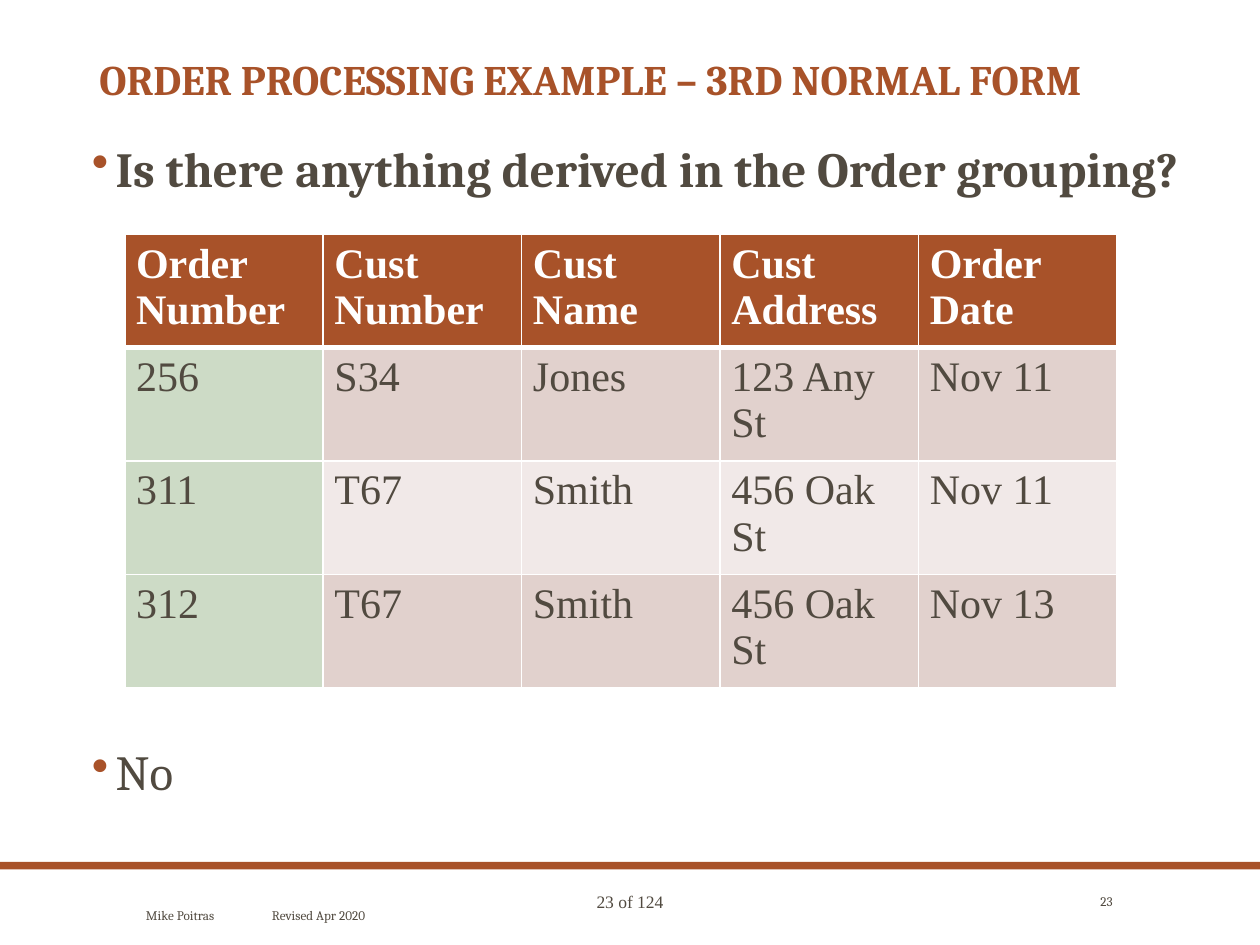
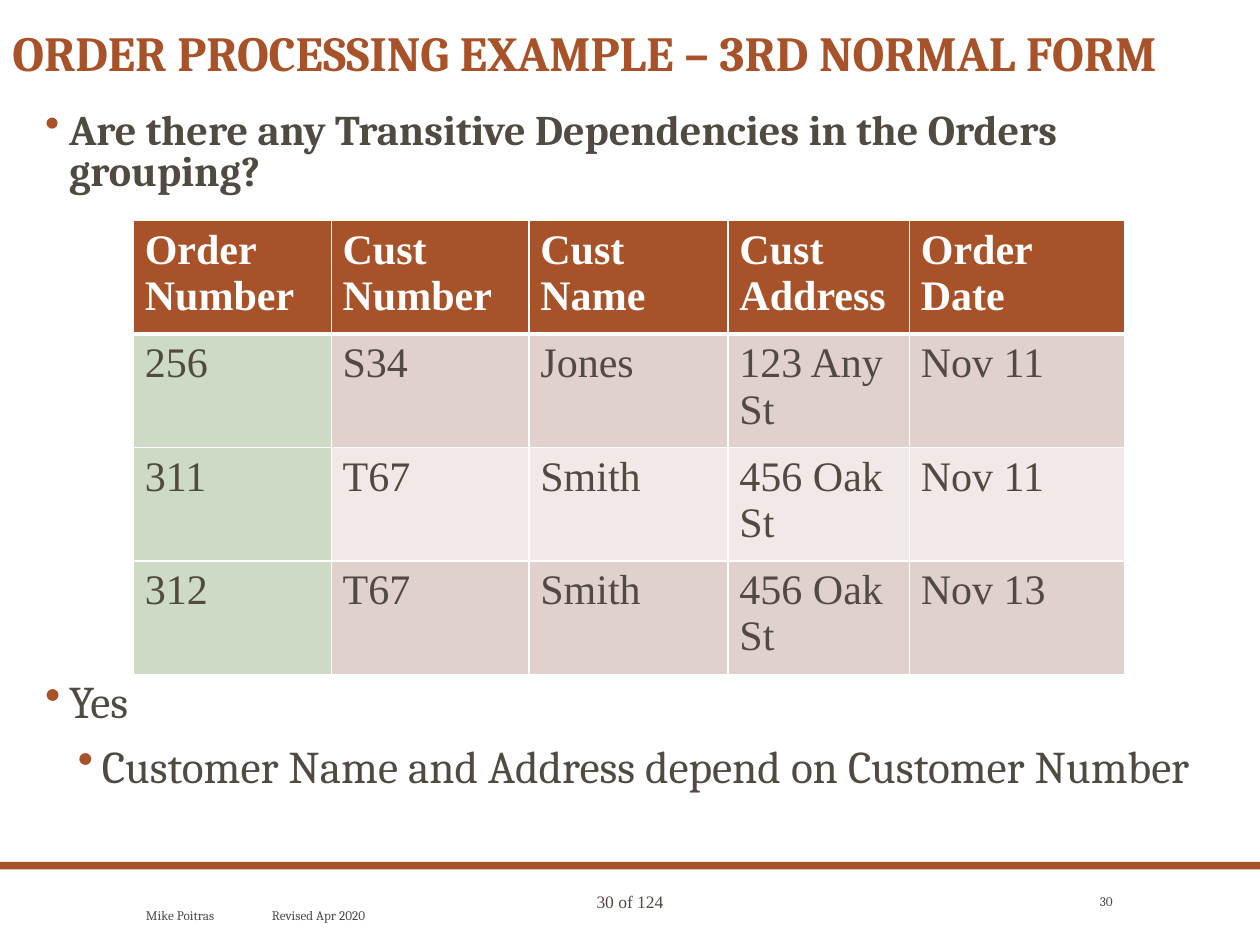
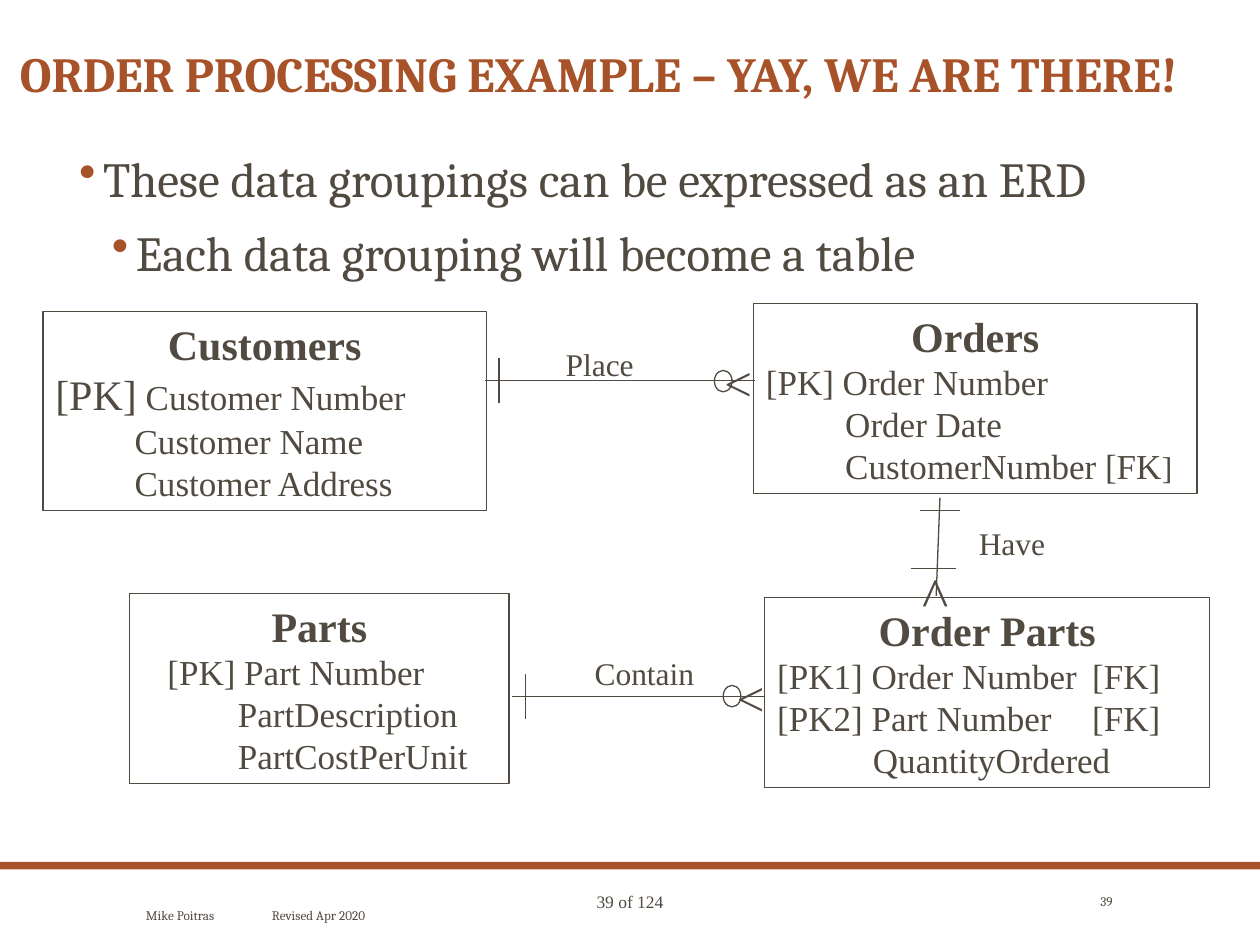
from dataclasses import dataclass

from lxml.etree import SubElement
from pptx import Presentation
from pptx.dml.color import RGBColor
from pptx.enum.shapes import MSO_CONNECTOR, MSO_SHAPE
from pptx.enum.text import MSO_ANCHOR, PP_ALIGN
from pptx.oxml.ns import qn
from pptx.util import Inches, Pt


@dataclass(frozen=True)
class Theme:
    rust: str = "A85229"
    ink: str = "514A40"
    white: str = "FFFFFF"
    green: str = "CDDBC6"
    dark: str = "E1D1CD"
    light: str = "F1E9E8"
    serif: str = "Cambria"
    roman: str = "Times New Roman"
    big: float = 28
    head: float = 24
    item: float = 20
    label: float = 18
    page: float = 10
    foot: float = 7.5
    hair: float = 0.75


THEME = Theme()


@dataclass(frozen=True)
class Box:
    left: float
    top: float
    width: float
    height: float

    def emus(self) -> tuple:
        return tuple(map(Inches, (self.left, self.top, self.width, self.height)))


@dataclass(frozen=True)
class Run:
    text: str
    size: float
    bold: bool = False
    font: str = THEME.roman
    color: str = THEME.ink


@dataclass(frozen=True)
class Para:
    runs: tuple[Run, ...]
    align: PP_ALIGN = PP_ALIGN.LEFT
    line: float | None = None
    after: float = 0
    left: float = 0
    hang: float = 0
    tab: float = 0
    dot: bool = False


@dataclass(frozen=True)
class Entry:
    box: Box
    name: str
    rows: tuple[Para, ...]


@dataclass(frozen=True)
class Grid:
    left: float
    top: float
    cols: tuple[float, ...]
    rows: tuple[float, ...]


def put(target, values: dict) -> None:
    for name, value in values.items():
        setattr(target, name, value)


def rgb(code: str) -> RGBColor:
    return RGBColor.from_string(code)


def tint(parent, code: str) -> None:
    SubElement(parent, qn("a:srgbClr"), val=code)


def write(frame, paras: list[Para]) -> None:
    for index, spec in enumerate(paras):
        para = frame.add_paragraph() if index else frame.paragraphs[0]
        put(para, {"alignment": spec.align, "line_spacing": spec.line,
                   "space_after": Pt(spec.after)})
        props = para._p.get_or_add_pPr()
        props.set("marL", str(Inches(spec.left)))
        props.set("indent", str(Inches(spec.hang)))
        if spec.dot:
            tint(SubElement(props, qn("a:buClr")), THEME.rust)
            SubElement(props, qn("a:buChar"), char="•")
        if spec.tab:
            tabs = SubElement(props, qn("a:tabLst"))
            SubElement(tabs, qn("a:tab"), pos=str(Inches(spec.tab)), algn="l")
        for part in spec.runs:
            run = para.add_run()
            run.text = part.text
            put(run.font, {"name": part.font, "size": Pt(part.size), "bold": part.bold})
            run.font.color.rgb = rgb(part.color)


def add_text(slide, box: Box, paras: list[Para], anchor=MSO_ANCHOR.TOP) -> None:
    frame = slide.shapes.add_textbox(*box.emus()).text_frame
    put(frame, {"word_wrap": True, "vertical_anchor": anchor})
    write(frame, paras)


def add_form(slide, kind: MSO_SHAPE, box: Box, fill: str = "", line: str = ""):
    shape = slide.shapes.add_shape(kind, *box.emus())
    shape.shadow.inherit = False
    for part, code in ((shape.fill, fill), (shape.line.fill, line)):
        if code:
            part.solid()
            part.fore_color.rgb = rgb(code)
        else:
            part.background()
    if line:
        shape.line.width = Pt(THEME.hair)
    return shape


def add_line(slide, ends: tuple[float, ...]) -> None:
    line = slide.shapes.add_connector(MSO_CONNECTOR.STRAIGHT, *map(Inches, ends))
    line.line.color.rgb = rgb(THEME.ink)
    line.line.width = Pt(THEME.hair)
    SubElement(line._element.spPr, qn("a:effectLst"))


def bullet(text: str, size: float = THEME.big, bold: bool = False,
           line: float = 0.9, level: int = 0) -> Para:
    return Para((Run(text, size, bold, THEME.serif),), line=line,
                after=6 if level else 12, left=0.49 if level else 0.23,
                hang=-0.19, dot=True)


def add_page(deck, number: int, title: str, box: Box, size: float = THEME.big):
    slide = deck.slides.add_slide(deck.slide_layouts[6])
    add_form(slide, MSO_SHAPE.RECTANGLE, Box(0, 6.84, 10, 0.06), THEME.rust)
    add_text(slide, Box(3.52, 7.02, 2.96, 0.27),
             [Para((Run(f"{number} of 124", THEME.page),), PP_ALIGN.CENTER)])
    add_text(slide, box,
             [Para((Run(title, size, True, THEME.serif, THEME.rust),), line=0.9)])
    notes = (
        (Box(1.06, 7.02, 7.88, 0.48), "Mike Poitras\tRevised Apr 2020", PP_ALIGN.LEFT, 1.37),
        (Box(8.36, 7.02, 0.57, 0.26), str(number), PP_ALIGN.RIGHT, 0),
    )
    for place, text, align, tab in notes:
        add_text(slide, place,
                 [Para((Run(text, THEME.foot, font=THEME.serif),), align, tab=tab)],
                 MSO_ANCHOR.MIDDLE)
    return slide


ORDERS = (
    ("Order\nNumber", "Cust Number", "Cust Name", "Cust\nAddress", "Order Date"),
    ("256", "S34", "Jones", "123 Any St", "Nov 11"),
    ("311", "T67", "Smith", "456 Oak St", "Nov 11"),
    ("312", "T67", "Smith", "456 Oak St", "Nov 13"),
)


def shade(row: int, col: int) -> str:
    if row == 0:
        return THEME.rust
    if col == 0:
        return THEME.green
    return THEME.dark if row % 2 else THEME.light


def add_rule(cell, side: str, width: float) -> None:
    rule = SubElement(cell._tc.get_or_add_tcPr(), qn(f"a:{side}"), w=str(Pt(width)))
    tint(SubElement(rule, qn("a:solidFill")), THEME.white)


def add_orders(slide, grid: Grid) -> None:
    box = Box(grid.left, grid.top, sum(grid.cols), sum(grid.rows))
    table = slide.shapes.add_table(len(ORDERS), len(ORDERS[0]), *box.emus()).table
    table.horz_banding = False
    for col, width in zip(table.columns, grid.cols):
        col.width = Inches(width)
    for row, height in zip(table.rows, grid.rows):
        row.height = Inches(height)
    for r, texts in enumerate(ORDERS):
        for c, text in enumerate(texts):
            cell = table.cell(r, c)
            put(cell, {"margin_left": Inches(0.09), "margin_right": Inches(0.09),
                       "margin_top": Inches(0.05), "margin_bottom": Inches(0.05)})
            for side in ("lnL", "lnR", "lnT", "lnB"):
                add_rule(cell, side, 3 if (r, side) in ((0, "lnB"), (1, "lnT")) else 1)
            cell.fill.solid()
            cell.fill.fore_color.rgb = rgb(shade(r, c))
            color = THEME.ink if r else THEME.white
            write(cell.text_frame, [Para((Run(part, THEME.head, r == 0, color=color),))
                                    for part in text.split("\n")])


def field(text: str, left: float = 0, tab: float = 0) -> Para:
    return Para((Run(text, THEME.item),), left=left, tab=tab)


ENTRIES = (
    Entry(Box(5.98, 2.41, 3.52, 1.51), "Orders", (
        field("[PK] Order Number"),
        field("Order Date", 0.63),
        Para((Run("CustomerNumber [FK", THEME.item), Run("]", THEME.label)), left=0.63),
    )),
    Entry(Box(1.03, 4.71, 3.01, 1.51), "Parts", (
        field("[PK] Part Number", 0.2),
        field("PartDescription", 0.76),
        field("PartCostPerUnit", 0.76),
    )),
    Entry(Box(0.34, 2.47, 3.52, 1.58), "Customers", (
        Para((Run("[PK]", THEME.head), Run(" Customer Number", THEME.item))),
        field("Customer Name", 0.63),
        field("Customer Address", 0.63),
    )),
    Entry(Box(6.07, 4.74, 3.53, 1.51), "Order Parts", (
        field("[PK1] Order Number\t[FK]", tab=2.52),
        field("[PK2] Part Number\t[FK]", tab=2.52),
        field("QuantityOrdered", 0.76),
    )),
)

LINKS = ((3.85, 3.02, 5.99, 3.02), (7.46, 3.95, 7.43, 4.73), (6.06, 5.53, 4.06, 5.53))
BARS = ((3.96, 2.84, 3.96, 3.2), (7.23, 4.51, 7.59, 4.51),
        (7.3, 4.05, 7.62, 4.05), (4.17, 5.35, 4.17, 5.71))
RINGS = ((5.67, 2.94), (5.74, 5.44))
MARKS = (
    (Box(4.39, 2.69, 0.89, 0.4), "Place", THEME.label),
    (Box(7.67, 4.11, 1.1, 0.4), "Have", THEME.label),
    (Box(4.62, 5.14, 1.01, 0.4), "Contain", THEME.label),
    (Box(5.65, 2.75, 1.01, 0.57), "<", THEME.big),
    (Box(7.22, 4.41, 0.67, 0.63), "^", 32),
    (Box(5.75, 5.25, 1.01, 0.57), "<", THEME.big),
)


def add_chart_of_links(slide) -> None:
    for entry in ENTRIES:
        shape = add_form(slide, MSO_SHAPE.RECTANGLE, entry.box, line=THEME.ink)
        shape.text_frame.vertical_anchor = MSO_ANCHOR.MIDDLE
        head = Para((Run(entry.name, THEME.head, True),), PP_ALIGN.CENTER)
        write(shape.text_frame, [head, *entry.rows])
    for ends in LINKS + BARS:
        add_line(slide, ends)
    for box, text, size in MARKS:
        add_text(slide, box, [Para((Run(text, size),))])
    for left, top in RINGS:
        add_form(slide, MSO_SHAPE.OVAL, Box(left, top, 0.14, 0.17), line=THEME.ink)


def main() -> None:
    deck = Presentation()
    put(deck, {"slide_width": Inches(10), "slide_height": Inches(7.5)})
    normal = "ORDER PROCESSING EXAMPLE – 3RD NORMAL FORM"

    slide = add_page(deck, 23, normal, Box(0.69, 0.42, 8.62, 0.55), THEME.head)
    add_text(slide, Box(0.59, 1.1, 9.12, 0.6),
             [bullet("Is there anything derived in the Order grouping?", bold=True)])
    add_orders(slide, Grid(0.99, 1.86, (1.575,) * 5, (0.76, 0.41, 0.41, 0.41)))
    add_text(slide, Box(0.59, 5.89, 9.12, 0.6), [bullet("No")])

    slide = add_page(deck, 30, normal, Box(0, 0.18, 9.77, 0.55))
    add_text(slide, Box(0.22, 0.85, 9.66, 0.8),
             [bullet("Are there any Transitive Dependencies in the Orders grouping?",
                     24.1, True, 0.8)])
    add_orders(slide, Grid(1.06, 1.75, (1.57, 1.57, 1.58, 1.44, 1.71),
                           (0.76, 0.81, 0.86, 0.41)))
    add_text(slide, Box(0.22, 5.38, 9.66, 1.2), [
        bullet("Yes", 25.9, line=0.8),
        bullet("Customer Name and Address depend on Customer Number", 25.9,
               line=0.8, level=1),
    ])

    slide = add_page(deck, 39, "ORDER PROCESSING EXAMPLE – YAY, WE ARE THERE!",
                     Box(0.06, 0.35, 9.7, 0.55))
    add_chart_of_links(slide)
    add_text(slide, Box(0.49, 1.18, 8.7, 0.96), [
        bullet("These data groupings can be expressed as an ERD"),
        bullet("Each data grouping will become a table", level=1),
    ])
    deck.save("out.pptx")


if __name__ == "__main__":
    main()
